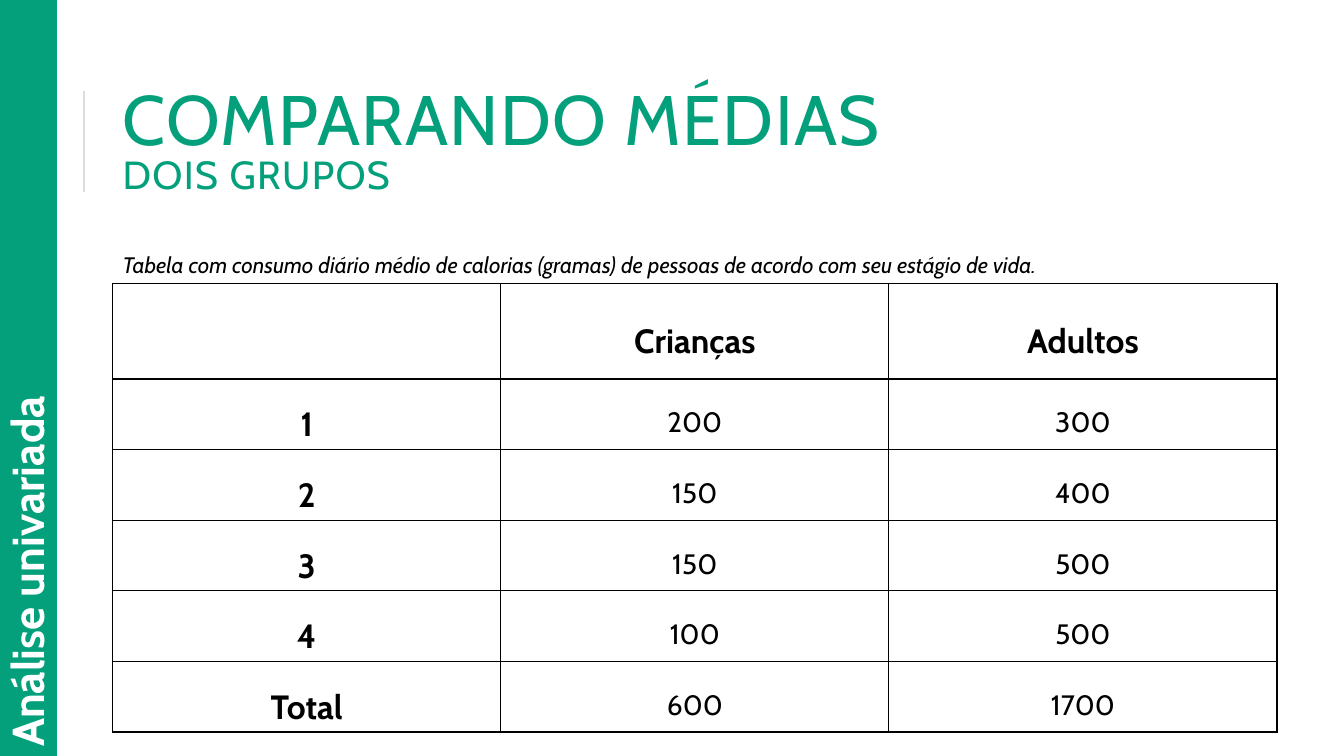
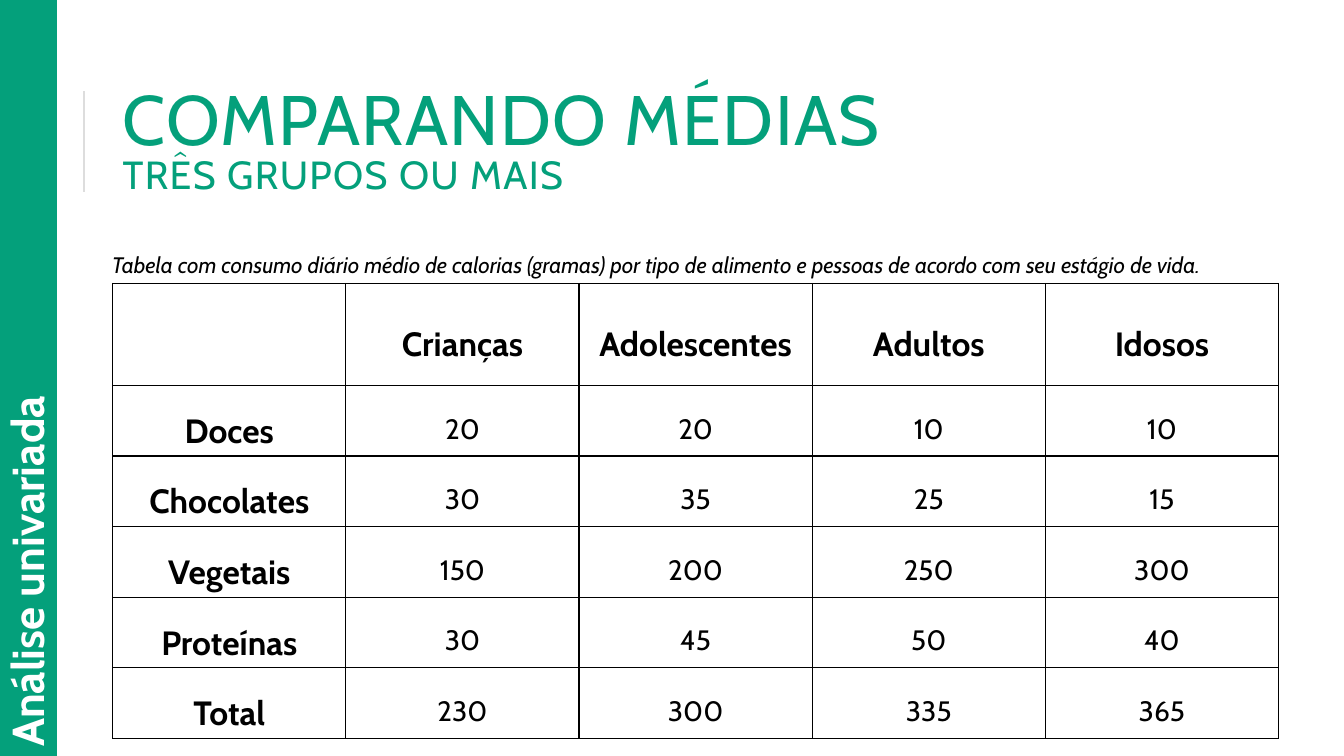
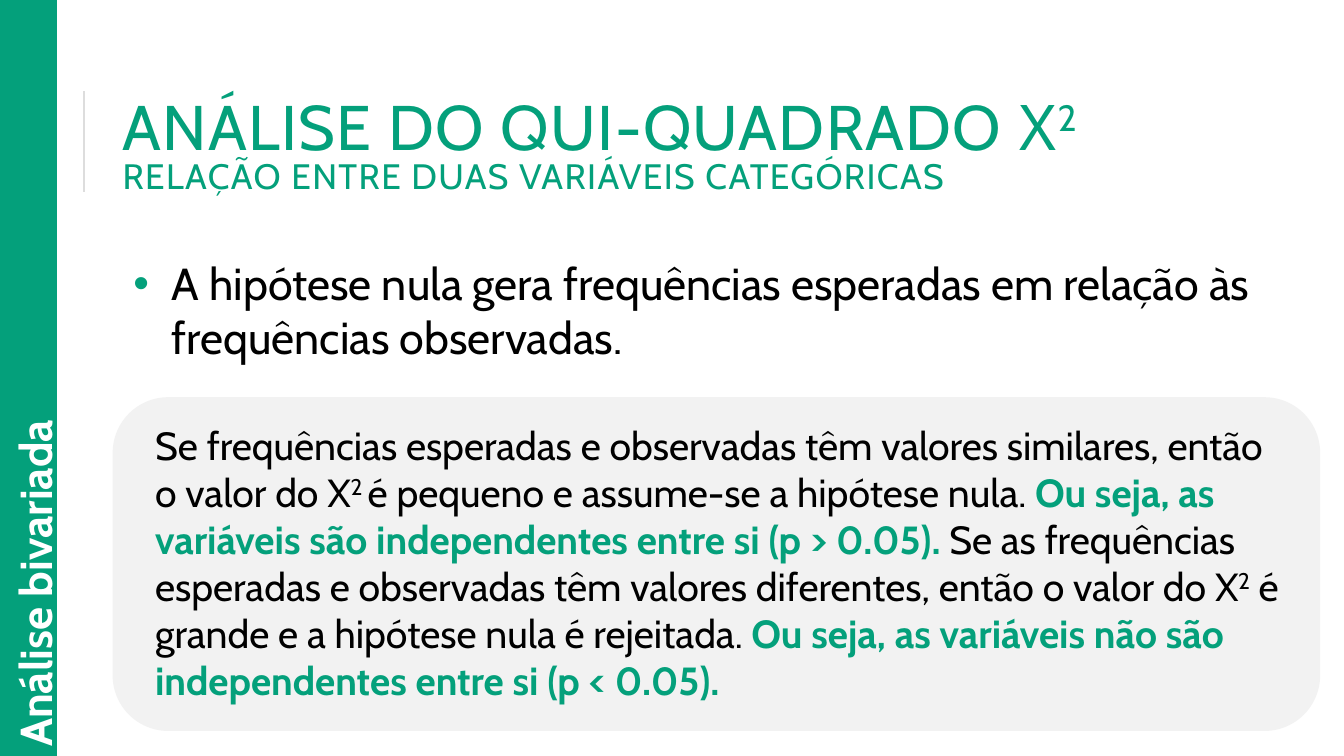
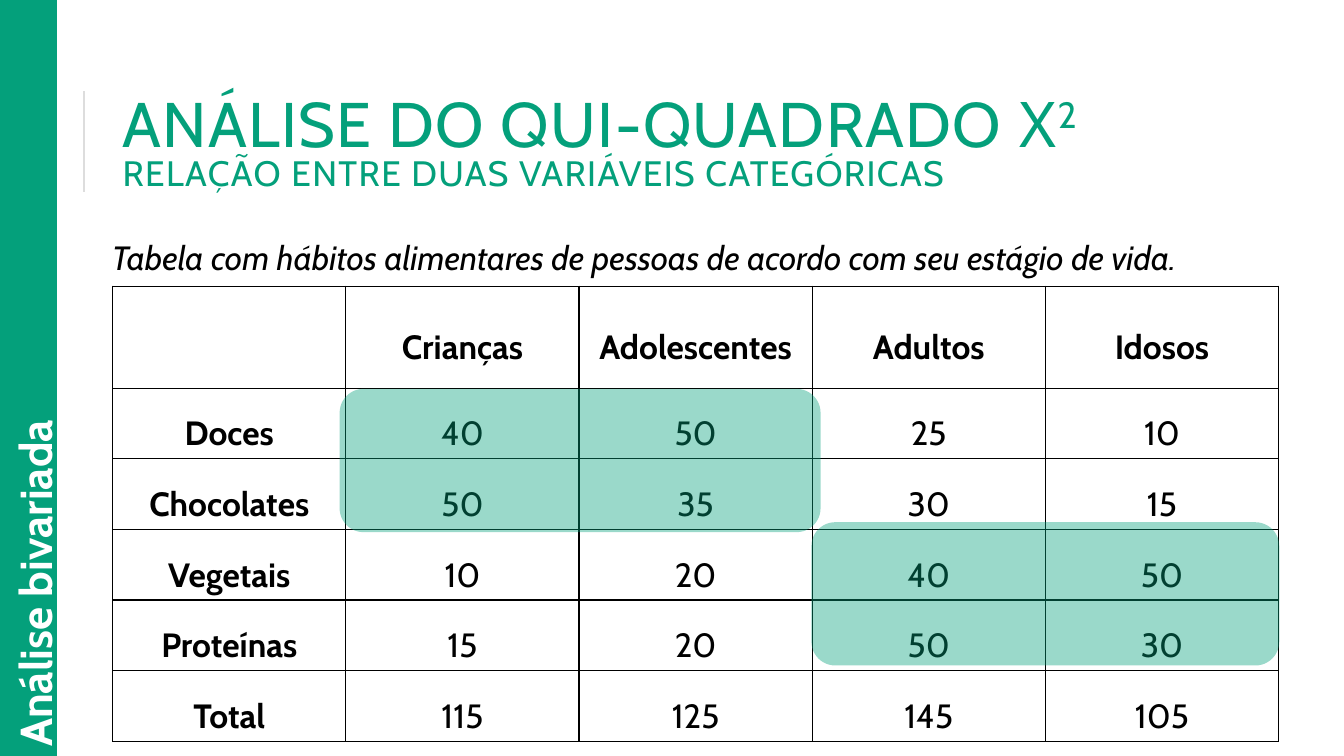
"""Build four slides on comparing means and the chi-square test."""
from lxml.etree import SubElement as Sub
from pptx import Presentation
from pptx.dml.color import RGBColor
from pptx.enum.shapes import MSO_CONNECTOR as Link, MSO_SHAPE as Form
from pptx.enum.text import MSO_ANCHOR as Anchor, MSO_AUTO_SIZE as Auto, PP_ALIGN as Align
from pptx.oxml.ns import qn
from pptx.util import Cm, Pt

GREEN = RGBColor(0x04, 0xA0, 0x7B)
WHITE = RGBColor(0xFF, 0xFF, 0xFF)
BLACK = RGBColor(0, 0, 0)
PALE = RGBColor(0xF2, 0xF2, 0xF2)
GRAY = RGBColor(0xDD, 0xDD, 0xDD)
FONT = "Cabin"
WIDE, HIGH = 33.87, 19.05
LEFT = 2.84
FOODS = ["Doces", "Chocolates", "Vegetais", "Proteínas", "Total"]
STAGES = ["", "Crianças", "Adolescentes", "Adultos", "Idosos"]
MEANS = [[20, 20, 10, 10], [30, 35, 25, 15], [150, 200, 250, 300],
         [30, 45, 50, 40], [230, 300, 335, 365]]
COUNTS = [[40, 50, 25, 10], [50, 35, 30, 15], [10, 20, 40, 50],
          [15, 20, 50, 30], [115, 125, 145, 105]]
PAIRS = [["", "Crianças", "Adultos"], ["1", 200, 300], ["2", 150, 400],
         ["3", 150, 500], ["4", 100, 500], ["Total", 600, 1700]]


def style(run, size, color=BLACK, bold=False, slant=False, base=0, space=0):
    font = run.font
    font.name, font.size, font.color.rgb = FONT, Pt(size), color
    font.bold, font.italic = bold, slant
    props = run._r.get_or_add_rPr()
    if base:
        props.set("baseline", str(base * 1000))
    if space:
        props.set("spc", str(space * 100))


def add_run(para, text, size, **look):
    run = para.add_run()
    run.text = text
    style(run, size, **look)


def add_text(slide, left, top, width, height, grow=True):
    box = slide.shapes.add_textbox(Cm(left), Cm(top), Cm(width), Cm(height))
    frame = box.text_frame
    frame.word_wrap = True
    frame.auto_size = Auto.SHAPE_TO_FIT_TEXT if grow else Auto.NONE
    return box, frame.paragraphs[0]


def indent(para, left, first=0):
    props = para._p.get_or_add_pPr()
    props.set("marL", str(Cm(left)))
    props.set("indent", str(Cm(first)))
    return props


def add_form(slide, form, left, top, width, height, fill, alpha=None):
    shape = slide.shapes.add_shape(form, Cm(left), Cm(top), Cm(width), Cm(height))
    shape.shadow.inherit = False
    shape.fill.solid()
    shape.fill.fore_color.rgb = fill
    shape.line.fill.background()
    if alpha:
        color = shape.element.spPr.find(".//" + qn("a:srgbClr"))
        Sub(color, qn("a:alpha")).set("val", str(alpha * 1000))
    return shape


def add_rule(slide):
    rule = slide.shapes.add_connector(Link.STRAIGHT, Cm(2.11), Cm(4.83), Cm(2.11), Cm(2.29))
    rule.line.color.rgb, rule.line.width = GRAY, Pt(1.5)
    Sub(rule.element.spPr, qn("a:effectLst"))


def add_title(slide, top, title, sub, sizes, power=""):
    box, para = add_text(slide, LEFT, top, 27, 4.17, grow=False)
    box.text_frame.vertical_anchor = Anchor.MIDDLE
    para.line_spacing = 0.8
    look = {"color": GREEN, "space": 1}
    add_run(para, title, sizes[0], **look)
    if power:
        add_run(para, power, sizes[0], base=30, **look)
    para.add_line_break()
    add_run(para, sub, sizes[1], **look)


def add_band(slide, label, left):
    band = add_form(slide, Form.RECTANGLE, 0, 0, 1.42, HIGH, GREEN)
    band.line.color.rgb, band.line.width = GREEN, Pt(1.25)
    box, para = add_text(slide, left, 11.46, 13.59, 1.63)
    box.rotation = 270
    para.text = label
    style(para.runs[0], 32, WHITE, bold=True)


def add_note(slide, left, top, text, size, inset=0):
    para = add_text(slide, left, top, 30.5, 0.94)[1]
    indent(para, inset)
    para.text = text
    style(para.runs[0], size, slant=True)


def add_edge(cell):
    props = cell._tc.get_or_add_tcPr()
    for side in "LRTB":
        line = Sub(props, qn("a:ln" + side), w=str(Pt(1)))
        Sub(Sub(line, qn("a:solidFill")), qn("a:srgbClr"), val=str(BLACK))
    cell.fill.background()


def add_grid(slide, top, data, width, head, high, size):
    rows, cols = len(data), len(data[0])
    table = slide.shapes.add_table(
        rows, cols, Cm(LEFT), Cm(top), Cm(width), Cm(head + high * (rows - 1))).table
    table.first_row = table.horz_banding = False
    for col in table.columns:
        col.width = Cm(width / cols)
    for y, line in enumerate(data):
        table.rows[y].height = Cm(high if y else head)
        for x, value in enumerate(line):
            cell = table.cell(y, x)
            add_edge(cell)
            cell.vertical_anchor = Anchor.MIDDLE
            if value == "":
                continue
            label = x == 0 or y == 0
            para = cell.text_frame.paragraphs[0]
            para.text = str(value)
            para.alignment, para.line_spacing = Align.CENTER, 1.5
            style(para.runs[0], 24 if label else size, bold=label)


def add_stages(slide, top, values, size):
    data = [STAGES] + [[food] + line for food, line in zip(FOODS, values)]
    add_grid(slide, top, data, 29.38, 2.57, 1.73, size)


def add_point(slide, text):
    para = add_text(slide, LEFT, 6.32, 30.43, 3)[1]
    props = indent(para, 1.24, -0.97)
    Sub(Sub(props, qn("a:buClr")), qn("a:srgbClr"), val=str(GREEN))
    Sub(props, qn("a:buFont"), typeface="Arial")
    Sub(props, qn("a:buChar"), char="•")
    para.text = text
    style(para.runs[0], 32)


def add_panel(slide):
    add_form(slide, Form.ROUNDED_RECTANGLE, LEFT, 10.01, 30.43, 8.41, PALE)
    para = add_text(slide, 3.43, 10.49, 29.24, 7.44)[1]
    indent(para, 0.23)
    power, strong = {"base": 30}, {"color": GREEN, "bold": True}
    for text, look in [
        ("Se frequências esperadas e observadas têm valores similares, então o valor do X", {}),
        ("2 ", power),
        ("é pequeno e assume-se a hipótese nula. ", {}),
        ("Ou seja, as variáveis são independentes entre si (p > 0.05). ", strong),
        ("Se as frequências esperadas e observadas têm valores diferentes, "
         "então o valor do X", {}),
        ("2", power),
        (" é grande e a hipótese nula é rejeitada. ", {}),
        ("Ou seja, as variáveis não são independentes entre si (p < 0.05).", strong),
    ]:
        add_run(para, text, 28, **look)


def add_slide(deck):
    slide = deck.slides.add_slide(deck.slide_layouts[6])
    add_rule(slide)
    return slide


def add_mean(deck, sub):
    slide = add_slide(deck)
    add_title(slide, 1.55, "COMPARANDO MÉDIAS", sub, (50, 28))
    add_band(slide, "Análise univariada", -6.1)
    return slide


def add_chi(deck, top):
    slide = add_slide(deck)
    add_title(slide, top, "ANÁLISE DO QUI-QUADRADO Χ",
              "RELAÇÃO ENTRE DUAS VARIÁVEIS CATEGÓRICAS", (45, 25.2), "2")
    add_band(slide, "Análise bivariada", -5.92)
    return slide


def main():
    deck = Presentation()
    deck.slide_width, deck.slide_height = Cm(WIDE), Cm(HIGH)

    slide = add_mean(deck, "DOIS GRUPOS")
    add_grid(slide, 7.14, PAIRS, 29.34, 2.41, 1.68, 20)
    add_note(slide, LEFT, 6.2, "Tabela com consumo diário médio de calorias (gramas) "
             "de pessoas de acordo com seu estágio de vida.", 16)

    slide = add_mean(deck, "TRÊS GRUPOS OU MAIS")
    add_stages(slide, 7.14, MEANS, 20)
    add_note(slide, 2.29, 6.2, "Tabela com consumo diário médio de calorias (gramas) por tipo "
             "de alimento e pessoas de acordo com seu estágio de vida.", 16, 0.28)

    slide = add_chi(deck, 1.68)
    add_point(slide, "A hipótese nula gera frequências esperadas em relação às "
              "frequências observadas.")
    add_panel(slide)

    slide = add_chi(deck, 1.6)
    add_stages(slide, 7.21, COUNTS, 24)
    for left, top, width in [(8.56, 9.8, 12.12), (20.45, 13.16, 11.79)]:
        add_form(slide, Form.ROUNDED_RECTANGLE, left, top, width, 3.61, GREEN, 40)
    add_note(slide, 2.29, 5.84, "Tabela com hábitos alimentares de pessoas de acordo "
             "com seu estágio de vida.", 24, 0.28)

    deck.save("out.pptx")


if __name__ == "__main__":
    main()
